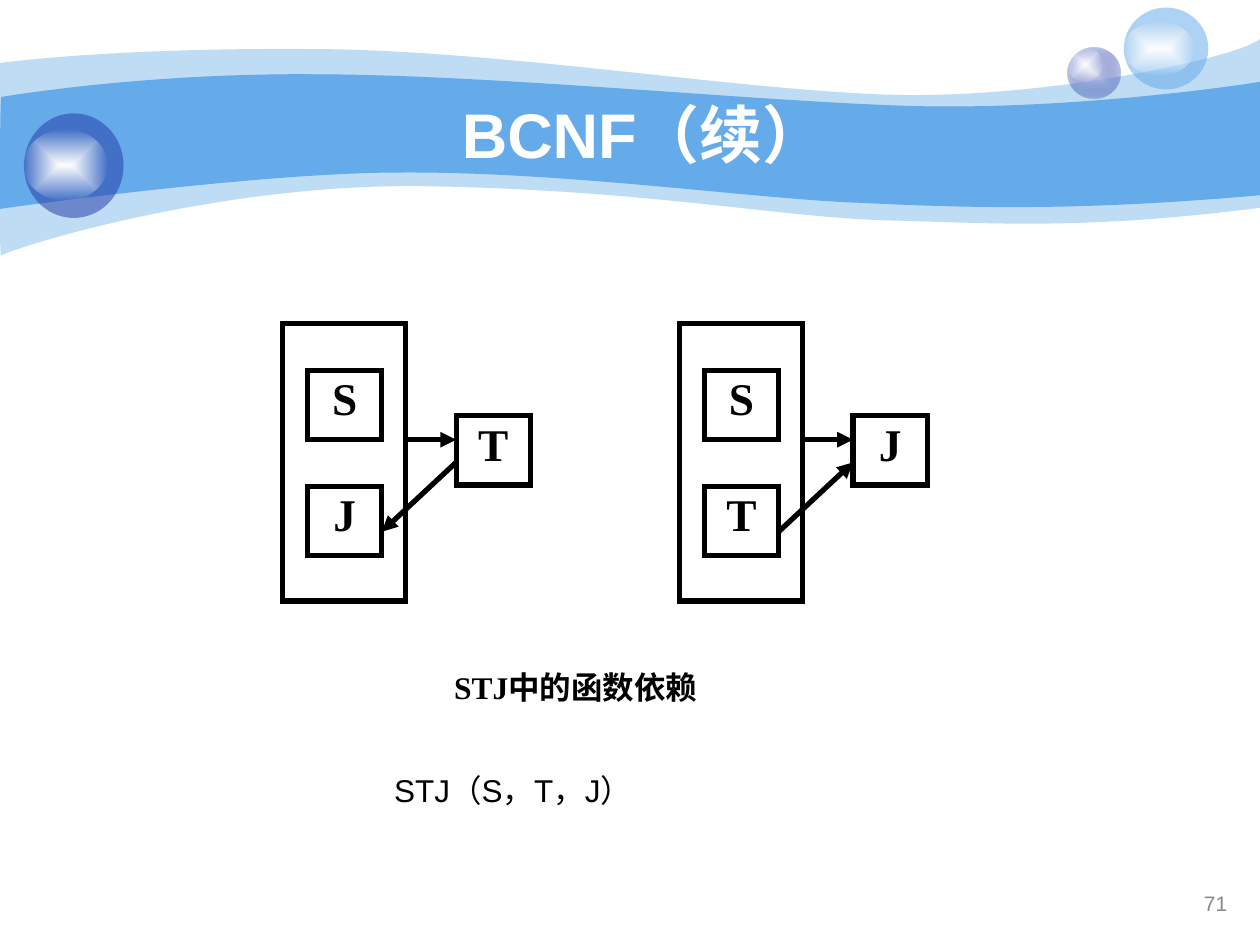
"""Build the BCNF slide showing the functional dependencies in STJ."""
import lxml.etree
import pptx
import pptx.dml.color
import pptx.enum.shapes
import pptx.enum.text
import pptx.oxml
import pptx.oxml.ns
import pptx.util

Inches = pptx.util.Inches
SHAPES = pptx.enum.shapes.MSO_SHAPE
ALIGN = pptx.enum.text.PP_ALIGN
ANCHOR = pptx.enum.text.MSO_ANCHOR
FIT = pptx.enum.text.MSO_AUTO_SIZE
NAMESPACE = pptx.oxml.ns.nsdecls("a")

SKY, NAVY = "65AAE9", "233DA9"
LETTER = {"size": pptx.util.Pt(25.9), "name": "Times New Roman", "bold": True}
TITLE = {"size": pptx.util.Pt(36), "name": "Arial", "bold": True}
CAPTION = {"size": pptx.util.Pt(18), "name": "Times New Roman", "bold": True}
RELATION = {"size": pptx.util.Pt(18), "name": "Arial", "bold": False}
NUMBER = {"size": pptx.util.Pt(12), "name": "Arial", "bold": False}

PALE_WAVE = [
    [(0, 0.5)],
    [(0.24, 0.47), (1.07, 0.38), (2.47, 0.39)],
    [(3.86, 0.39), (5.75, 0.7), (6.99, 0.75)],
    [(8.22, 0.8), (9.8, 0.47), (10, 0.31)],
    [(10, 1.65)],
    [(8.58, 1.83), (7.87, 1.77), (7.05, 1.75)],
    [(6.22, 1.73), (5.15, 1.51), (3.43, 1.48)],
    [(1.72, 1.44), (0.04, 1.99), (0.01, 2.03)],
    [(-0.01, 2.08), (0, 0.75), (0, 0.5)],
]
DEEP_WAVE = [
    [(0.01, 0.77)],
    [(0.02, 0.77), (1.1, 0.58), (2.48, 0.59)],
    [(3.86, 0.59), (5.95, 0.8), (7.18, 0.84)],
    [(8.41, 0.88), (9.76, 0.69), (10, 0.65)],
    [(10, 1.55)],
    [(8.53, 1.68), (7.65, 1.65), (6.82, 1.61)],
    [(5.99, 1.58), (4.47, 1.36), (3.17, 1.37)],
    [(2.03, 1.37), (-0.02, 1.66), (-0.01, 1.66)],
    [(0, 1.66), (0, 0.77), (0.01, 0.77)],
]


def color(value):
    """Return the colour for a hex string."""
    return pptx.dml.color.RGBColor.from_string(value)


def fill_solid(shape, value, opacity=100):
    """Give a shape a plain fill with no line or shadow."""
    shape.shadow.inherit = False
    shape.line.fill.background()
    shape.fill.solid()
    shape.fill.fore_color.rgb = color(value)
    if opacity < 100:
        tone = shape._element.spPr.find("./" + "/".join(map(pptx.oxml.ns.qn, ("a:solidFill", "a:srgbClr"))))
        lxml.etree.SubElement(tone, pptx.oxml.ns.qn("a:alpha"), val=str(opacity * 1000))


def fill_glow(shape, inner, outer, opacity):
    """Give a shape a gradient that runs from its centre to its edge."""
    fill_solid(shape, inner)
    gradient = pptx.oxml.parse_xml(
        f'<a:gradFill {NAMESPACE} rotWithShape="1"><a:gsLst>'
        f'<a:gs pos="0"><a:srgbClr val="{inner}"/></a:gs>'
        f'<a:gs pos="100000"><a:srgbClr val="{outer}">'
        f'<a:alpha val="{opacity * 1000}"/></a:srgbClr></a:gs></a:gsLst>'
        '<a:path path="rect"><a:fillToRect l="50000" t="50000" r="50000" b="50000"/>'
        "</a:path></a:gradFill>"
    )
    properties = shape._element.spPr
    properties.replace(properties.find(pptx.oxml.ns.qn("a:solidFill")), gradient)


def add_wave(page, outline, opacity=100):
    """Draw a banner band; parts with three points become cubic curves."""
    corners = [(Inches(x), Inches(y)) for part in outline for x, y in part]
    builder = page.shapes.build_freeform(*corners[0])
    builder.add_line_segments(corners[1:], close=True)
    wave = builder.convert_to_shape()
    segments = iter(list(wave._element.spPr.iter(pptx.oxml.ns.qn("a:lnTo"))))
    for part in outline[1:]:
        steps = [next(segments) for _ in part]
        if len(steps) == 3:
            curve = pptx.oxml.parse_xml(f"<a:cubicBezTo {NAMESPACE}/>")
            steps[0].addprevious(curve)
            for step in steps:
                curve.append(step[0])
                step.getparent().remove(step)
    fill_solid(wave, SKY, opacity)


def add_shape(page, kind, bounds):
    """Add a preset shape at the given bounds in inches."""
    return page.shapes.add_shape(kind, *map(Inches, bounds))


def write(shape, text, font, value="000000", align=ALIGN.CENTER, anchor=ANCHOR.TOP,
          wrap=True, spacing=None, fit=FIT.NONE):
    """Set one formatted paragraph in a shape."""
    frame = shape.text_frame
    frame.auto_size = fit
    frame.word_wrap = wrap
    frame.vertical_anchor = anchor
    para = frame.paragraphs[0]
    para.alignment = align
    para.line_spacing = spacing
    span = para.add_run()
    span.text = text
    for name, setting in font.items():
        setattr(span.font, name, setting)
    span.font.color.rgb = color(value)


def add_text(page, bounds, text, font, **layout):
    """Add a text box."""
    write(page.shapes.add_textbox(*map(Inches, bounds)), text, font, **layout)


def draw_line(shape):
    """Give a shape or connector the thick black line."""
    shape.line.color.rgb = color("000000")
    shape.line.width = pptx.util.Pt(3)
    return shape.line._get_or_add_ln()


def add_frame(page, bounds, letter=None):
    """Add an outlined rectangle, with a letter if one is given."""
    box = add_shape(page, SHAPES.RECTANGLE, bounds)
    box.shadow.inherit = False
    box.fill.background()
    draw_line(box).append(pptx.oxml.parse_xml(f'<a:miter {NAMESPACE} lim="800000"/>'))
    if letter:
        write(box, letter, LETTER, spacing=0.9)


def add_arrow(page, start, end):
    """Add an arrow that points at its end."""
    arrow = page.shapes.add_connector(
        pptx.enum.shapes.MSO_CONNECTOR.STRAIGHT, *map(Inches, (*start, *end))
    )
    draw_line(arrow).append(pptx.oxml.parse_xml(f'<a:tailEnd {NAMESPACE} type="triangle"/>'))
    arrow._element.spPr.append(pptx.oxml.parse_xml(f"<a:effectLst {NAMESPACE}/>"))


def add_dependency(page, left, upper, lower, target, returns):
    """Draw a pair of attributes, their target and the two arrows."""
    add_frame(page, (left, 2.57, 0.98, 2.2))
    boxes = ((0.2, 2.94, upper), (0.2, 3.86, lower), (1.38, 3.3, target))
    for offset, top, letter in boxes:
        add_frame(page, (left + offset, top, 0.59, 0.55), letter)
    add_arrow(page, (left + 0.98, 3.49), (left + 1.38, 3.49))
    ends = [(left + 0.79, 4.22), (left + 1.38, 3.67)]
    add_arrow(page, *(reversed(ends) if returns else ends))


def add_banner(page):
    """Draw the waves and the three shining balls."""
    add_wave(page, PALE_WAVE, 41)
    add_wave(page, DEEP_WAVE)
    balls = [
        ((8.47, 0.38, 0.42, 0.4), (8.47, 0.38, 0.28, 0.27), None),
        ((8.92, 0.06, 0.67, 0.65), (8.92, 0.17, 0.56, 0.43), SKY),
        ((0.19, 0.9, 0.79, 0.83), (0.19, 1.03, 0.66, 0.56), NAVY),
    ]
    for bounds, shine, value in balls:
        ball = add_shape(page, SHAPES.OVAL, bounds)
        if value:
            fill_solid(ball, value, 53)
        else:
            fill_glow(ball, "C7CEE9", NAVY, 31)
        fill_glow(add_shape(page, SHAPES.OVAL, shine), "FFFFFF", "FFFFFF", 0)


def main():
    """Build and save the deck."""
    deck = pptx.Presentation()
    deck.slide_width, deck.slide_height = Inches(10), Inches(7.5)
    page = deck.slides.add_slide(deck.slide_layouts[6])
    add_banner(page)
    add_text(page, (1, 0.75, 8.08, 0.62), " BCNF（续）", TITLE, value="FFFFFF", anchor=ANCHOR.MIDDLE)
    add_dependency(page, 2.24, "S", "J", "T", returns=True)
    add_dependency(page, 5.39, "S", "T", "J", returns=False)
    add_text(page, (3.43, 5.25, 2.28, 0.55), "STJ中的函数依赖", CAPTION)
    add_text(page, (3.03, 6.07, 2.51, 0.4), "STJ（S，T，J）", RELATION,
             align=ALIGN.LEFT, wrap=False, fit=FIT.SHAPE_TO_FIT_TEXT)
    add_text(page, (7.51, 6.98, 2.33, 0.4), "71", NUMBER, value="898989",
             align=ALIGN.RIGHT, anchor=ANCHOR.MIDDLE, spacing=0.9)
    deck.save("out.pptx")


if __name__ == "__main__":
    main()
